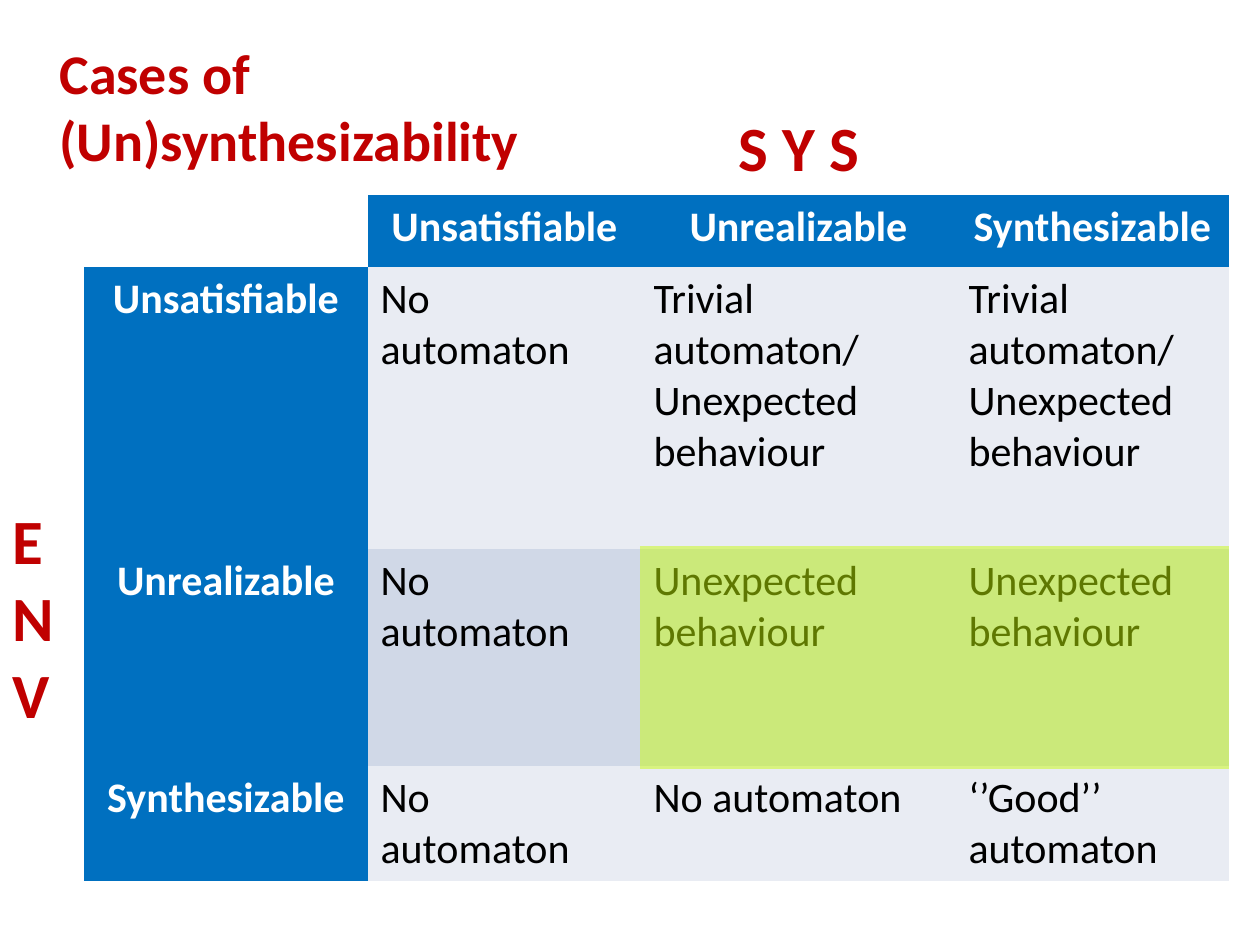
from lxml.etree import SubElement
from pptx import Presentation
from pptx.dml.color import RGBColor
from pptx.enum.shapes import MSO_SHAPE
from pptx.enum.text import MSO_ANCHOR, PP_ALIGN
from pptx.oxml.ns import qn
from pptx.util import Emu, Pt

COLORS = {
    "white": "FFFFFF", "black": "000000", "red": "C00000", "blue": "0070C0",
    "light": "E9ECF3", "mid": "D0D8E7", "lime": "C7FC04",
}
NO_STYLE = "{2D5ABB26-0587-4C30-8999-92F81FD0307C}"
CASES = ["Unsatisfiable", "Unrealizable", "Synthesizable"]
NONE = "No automaton"
TRIVIAL = "Trivial automaton/\nUnexpected behaviour"
UNEXPECTED = "Unexpected behaviour"
OUTCOMES = [
    [NONE, TRIVIAL, TRIVIAL],
    [NONE, UNEXPECTED, UNEXPECTED],
    [NONE, NONE, "‘’Good’’ automaton"],
]
COLS = [84, 284, 273, 315, 273]
ROWS = [90, 72, 282, 217, 115]
TABLE_TOP = 105


def px(n):
    return Emu(round(n * 914400 / 126))


def rgb(name):
    return RGBColor.from_string(COLORS[name])


class Deck:
    font = "Calibri"

    def __init__(self, slide):
        self.s = slide

    def label(self, tf, text, size, color, bold=False, align=PP_ALIGN.LEFT):
        tf.text = text
        for p in tf.paragraphs:
            p.alignment = align
            for r in p.runs:
                r.font.name = self.font
                r.font.size = Pt(size)
                r.font.bold = bold
                r.font.color.rgb = rgb(color)

    def title(self, x, y, w, h, text):
        tf = self.s.shapes.add_textbox(px(x), px(y), px(w), px(h)).text_frame
        tf.word_wrap = False
        self.label(tf, text, 32, "red", True)

    def table(self, x, y, cols, rows):
        frame = self.s.shapes.add_table(
            len(rows), len(cols), px(x), px(y), px(sum(cols)), px(sum(rows)))
        table = frame.table
        table.first_row = table.horz_banding = False
        table._tbl.tblPr.find(qn("a:tableStyleId")).text = NO_STYLE
        for column, w in zip(table.columns, cols):
            column.width = px(w)
        for row, h in zip(table.rows, rows):
            row.height = px(h)
        for cell in table.iter_cells():
            self.fill(cell, "white")
        return table

    def fill(self, cell, color):
        cell.fill.solid()
        cell.fill.fore_color.rgb = rgb(color)

    def header(self, cell, text):
        self.fill(cell, "blue")
        self.label(cell.text_frame, text, 24, "white", True, PP_ALIGN.CENTER)

    def outcome(self, cell, text, color):
        self.fill(cell, color)
        self.label(cell.text_frame, text, 24, "black")

    def axis(self, first, last, text, align):
        first.merge(last)
        self.label(first.text_frame, text, 36, "red", True, align)

    def highlight(self, x, y, w, h, color, opacity):
        sp = self.s.shapes.add_shape(
            MSO_SHAPE.RECTANGLE, px(x), px(y), px(w), px(h))
        sp.shadow.inherit = False
        sp.line.fill.background()
        sp.fill.solid()
        sp.fill.fore_color.rgb = rgb(color)
        clr = sp._element.spPr.find(qn("a:solidFill"))[0]
        SubElement(clr, qn("a:alpha")).set("val", str(opacity * 1000))


def main():
    prs = Presentation()
    prs.slide_width, prs.slide_height = px(1260), px(945)
    deck = Deck(prs.slides.add_slide(prs.slide_layouts[6]))

    table = deck.table(0, TABLE_TOP, COLS, ROWS)
    deck.axis(table.cell(0, 2), table.cell(0, 4), "S Y S", PP_ALIGN.CENTER)
    env = table.cell(2, 0)
    deck.axis(env, table.cell(3, 0), "ENV", PP_ALIGN.LEFT)
    env.vertical_anchor = MSO_ANCHOR.BOTTOM
    env.margin_bottom = px(30)
    for i, (case, outcomes) in enumerate(zip(CASES, OUTCOMES)):
        deck.header(table.cell(1, i + 2), case)
        deck.header(table.cell(i + 2, 1), case)
        for j, text in enumerate(outcomes):
            deck.outcome(table.cell(i + 2, j + 2), text,
                         "mid" if i % 2 else "light")

    deck.title(47, 32, 688, 79, "Cases of (Un)synthesizability")
    deck.highlight(640, 546, 589, 223, "lime", 48)
    prs.save("out.pptx")


if __name__ == "__main__":
    main()
